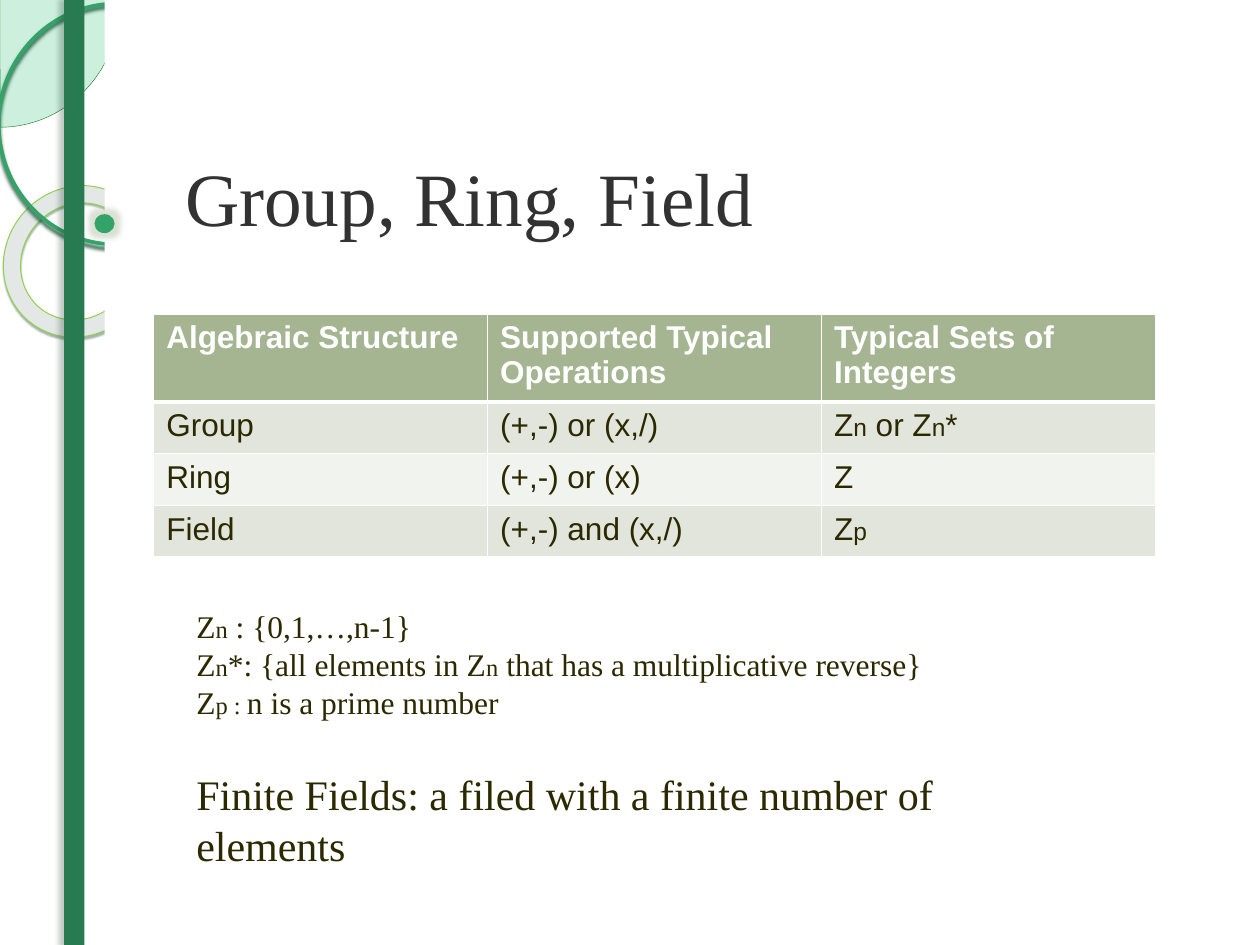
from lxml import etree
from pptx import Presentation
from pptx.dml.color import RGBColor
from pptx.enum.shapes import MSO_SHAPE
from pptx.enum.text import MSO_ANCHOR
from pptx.oxml.ns import qn
from pptx.util import Inches, Pt

DONUT, PIE = MSO_SHAPE.DONUT, MSO_SHAPE.PIE
OVAL, RECTANGLE = MSO_SHAPE.OVAL, MSO_SHAPE.RECTANGLE
TOP, MIDDLE = MSO_ANCHOR.TOP, MSO_ANCHOR.MIDDLE
SERIF, SANS = "Times New Roman", "Arial"
COLORS = {
    "white": "FFFFFF", "title": "323232", "text": "2C2900",
    "header": "A5B592", "band_dark": "E1E5DC", "band_light": "F0F3EE",
    "donut": "E3E7E5", "lime": "92D050", "mint": "6ACF9B",
    "pie_line": "1D8129", "ring": "34A369", "bar": "287A51",
    "donut_shadow": "002B15", "ring_shadow": "0A4C2A",
    "bar_shadow": "0C2D1C", "glow": "A5B592",
}
ROWS = [
    ("Algebraic Structure", "Supported Typical Operations", "Typical Sets of Integers"),
    ("Group", "(+,-) or (x,/)", "Z|n| or Z|n|*"),
    ("Ring", "(+,-) or (x)", "Z"),
    ("Field", "(+,-) and (x,/)", "Z|p"),
]
DEFINITIONS = [
    "Z|n| : {0,1,…,n-1}",
    "Z|n|*: {all elements in Z|n| that has a multiplicative reverse}",
    "Z|p : |n is a prime number",
]


def rgb(name):
    return RGBColor.from_string(COLORS[name])


def add_color(parent, name, alpha=100):
    color = etree.SubElement(parent, qn("a:srgbClr"), val=COLORS[name])
    etree.SubElement(color, qn("a:alpha"), val=str(alpha * 1000))


def add_effect(shape, tag, color, alpha, **lengths):
    effects = shape._element.spPr.find(qn("a:effectLst"))
    effect = etree.SubElement(effects, qn(tag))
    for key, value in lengths.items():
        effect.set(key, str(int(value)))
    add_color(effect, color, alpha)


def add_shadow(shape, color, alpha, blur, distance, angle):
    add_effect(shape, "a:outerShdw", color, alpha, blurRad=Pt(blur),
               dist=Pt(distance), dir=angle * 60000)


def add_shape(slide, kind, box, fill=None, alpha=100, line=None, width=0):
    shape = slide.shapes.add_shape(kind, *map(Inches, box))
    shape.shadow.inherit = False
    if fill:
        shape.fill.solid()
        shape.fill.fore_color.rgb = rgb(fill)
        solid = shape._element.spPr.find(qn("a:solidFill"))
        solid.clear()
        add_color(solid, fill, alpha)
    else:
        shape.fill.background()
    if line:
        shape.line.color.rgb = rgb(line)
        shape.line.width = Pt(width)
    else:
        shape.line.fill.background()
    return shape


def write_text(paragraph, text, size=18, small=14, font=SERIF, color="text",
               bold=False, before=0):
    """Write text in which every second part between bars is small."""
    paragraph.space_before = Pt(before)
    for index, part in enumerate(text.split("|")):
        if part:
            run = paragraph.add_run()
            run.text = part
            run.font.size = Pt(small if index % 2 else size)
            run.font.name = font
            run.font.bold = bold
            run.font.color.rgb = rgb(color)


def add_text_frame(slide, box, anchor=TOP):
    frame = slide.shapes.add_textbox(*map(Inches, box)).text_frame
    frame.word_wrap = True
    frame.vertical_anchor = anchor
    return frame


def add_side_decoration(slide, box):
    left, top, width, height = box
    donut = add_shape(slide, DONUT, (left + 0.04, top + 1.46, 1.16, 1.23),
                      "donut", line="lime", width=0.58)
    donut.adjustments[0] = 0.118
    donut.rotation = 38.6
    add_shadow(donut, "donut_shadow", 35, 1, 1.2, 75)

    pie = add_shape(slide, PIE, (left - 0.96, top - 1.02, 1.92, 2.03),
                    "mint", 33, "pie_line", 0.25)
    pie.adjustments[0] = 0
    pie.adjustments[1] = 54

    ring = add_shape(slide, OVAL, (left - 0.01, top + 0.03, 1.86, 1.91),
                     line="ring", width=2.15)
    add_shadow(ring, "ring_shadow", 85, 2, 2, 90)

    add_shape(slide, RECTANGLE, (left + width, top, 8.51, height), "white")
    bar = add_shape(slide, RECTANGLE, (left + 0.51, top, 0.16, height), "bar")
    add_shadow(bar, "bar_shadow", 25, 3, 3, 180)
    dot = add_shape(slide, OVAL, (left + 0.75, top + 1.7, 0.16, 0.15), "ring")
    add_effect(dot, "a:glow", "glow", 40, rad=Pt(6))


def add_title(slide, box):
    frame = add_text_frame(slide, box, MIDDLE)
    write_text(frame.paragraphs[0], "Group, Ring, Field", size=43, color="title")


def set_borders(cell, bottom):
    properties = cell._tc.get_or_add_tcPr()
    widths = {"a:lnL": 1, "a:lnR": 1, "a:lnT": 1, "a:lnB": bottom}
    for index, (tag, width) in enumerate(widths.items()):
        line = etree.Element(qn(tag), w=str(Pt(width)))
        add_color(etree.SubElement(line, qn("a:solidFill")), "white")
        properties.insert(index, line)


def add_structure_table(slide, box):
    table = slide.shapes.add_table(len(ROWS), len(ROWS[0]), *map(Inches, box)).table
    for column in table.columns:
        column.width = Inches(box[2] / len(ROWS[0]))
    for row_index, texts in enumerate(ROWS):
        header = row_index == 0
        band = "band_dark" if row_index % 2 else "band_light"
        table.rows[row_index].height = Inches(0.64 if header else 0.41)
        for column_index, text in enumerate(texts):
            cell = table.cell(row_index, column_index)
            cell.fill.solid()
            cell.fill.fore_color.rgb = rgb("header" if header else band)
            set_borders(cell, 3 if header else 1)
            write_text(cell.text_frame.paragraphs[0], text, font=SANS,
                       color="white" if header else "text", bold=header)


def add_definitions(slide, box):
    frame = add_text_frame(slide, box)
    for index, text in enumerate(DEFINITIONS):
        write_text(frame.add_paragraph() if index else frame.paragraphs[0], text)
    write_text(frame.add_paragraph(),
               "Finite Fields: a filed with a finite number of elements",
               size=24, before=27.6)


def main():
    presentation = Presentation()
    presentation.slide_width, presentation.slide_height = Inches(10), Inches(7.5)
    slide = presentation.slides.add_slide(presentation.slide_layouts[6])
    add_side_decoration(slide, (0, 0, 0.83, 7.5))
    add_title(slide, (1.37, 0.93, 7.89, 1.25))
    add_structure_table(slide, (1.22, 2.49, 7.95, 1.87))
    add_definitions(slide, (1.46, 4.77, 7.17, 2.7))
    presentation.save("out.pptx")


if __name__ == "__main__":
    main()
